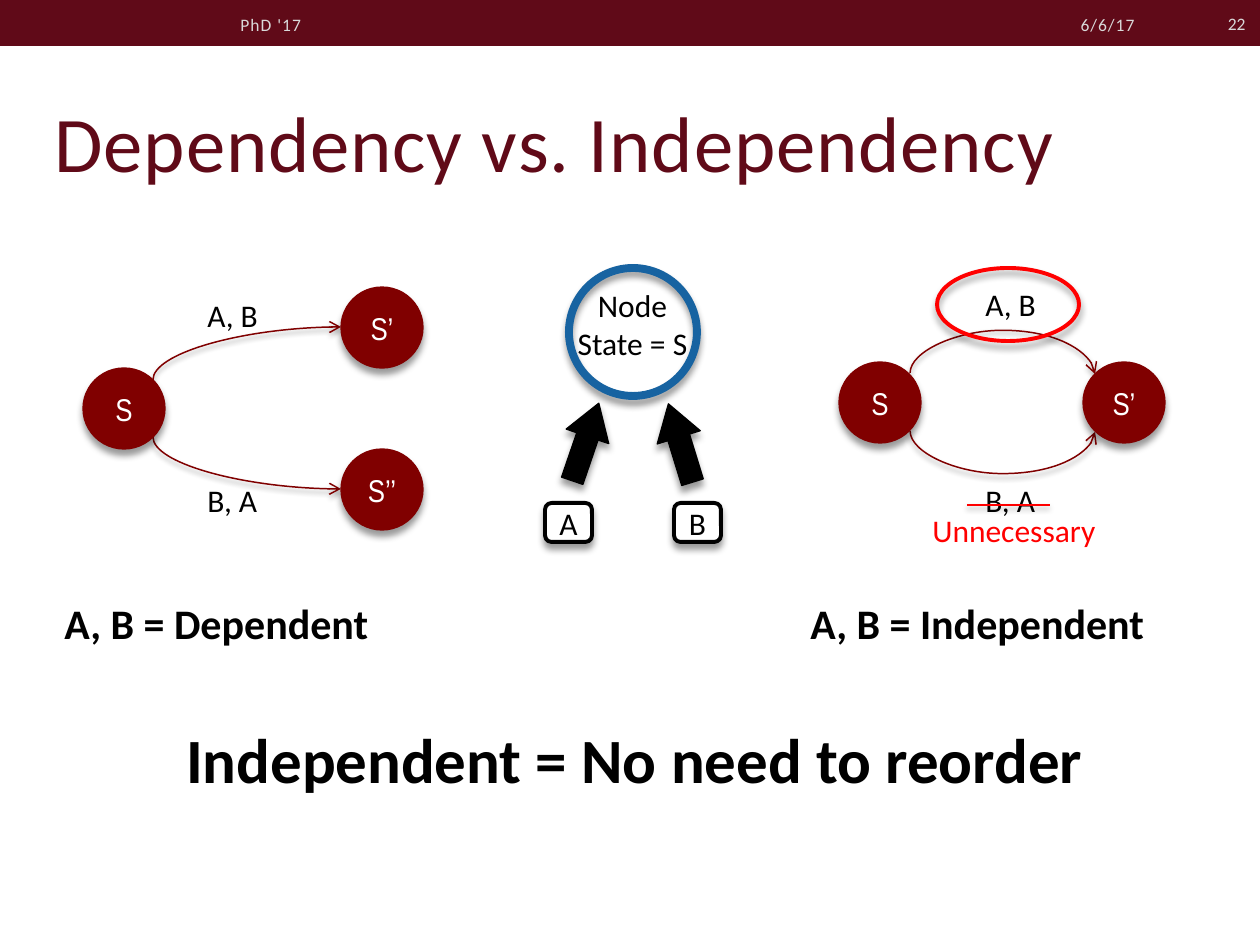
from lxml.etree import SubElement
from pptx import Presentation
from pptx.dml.color import RGBColor
from pptx.enum.shapes import MSO_CONNECTOR as Link, MSO_SHAPE as Shape
from pptx.enum.text import MSO_ANCHOR as Anchor, MSO_AUTO_SIZE as AutoSize, PP_ALIGN as Align
from pptx.oxml.ns import qn
from pptx.util import Pt

COLORS = {
    "bar": "600A18", "light": "D9D9D9", "ink": "000000", "paper": "FFFFFF",
    "state": "800000", "node": "1763A1", "accent": "FF0000",
}
SCALE = 914400 / 126


def px(length):
    return round(length * SCALE)


def rgb(name):
    return RGBColor.from_string(COLORS[name])


class SlideBuilder:
    body_font = "Calibri"
    state_font = "Arial Narrow"

    def __init__(self, deck):
        self.slide = deck.slides.add_slide(deck.slide_layouts[5])
        self.shapes = self.slide.shapes

    def set_text(self, frame, text, size=18, color="ink", align=Align.LEFT,
                 anchor=Anchor.TOP, bold=False, face=None, spacing=0):
        frame.text = text
        frame.vertical_anchor = anchor
        font_format = {"name": face or self.body_font, "size": Pt(size), "bold": bold}
        for paragraph in frame.paragraphs:
            paragraph.alignment = align
            for run in paragraph.runs:
                for attribute, value in font_format.items():
                    setattr(run.font, attribute, value)
                run.font.color.rgb = rgb(color)
                if spacing:
                    run._r.get_or_add_rPr().set("spc", str(spacing))

    def title(self, box, text, **style):
        heading = self.shapes.title
        heading.left, heading.top, heading.width, heading.height = map(px, box)
        heading.text_frame.auto_size = AutoSize.NONE
        self.set_text(heading.text_frame, text, anchor=Anchor.BOTTOM, **style)

    def label(self, box, text, wrap=False, **style):
        frame = self.shapes.add_textbox(*map(px, box)).text_frame
        frame.word_wrap = wrap
        frame.auto_size = AutoSize.NONE if wrap else AutoSize.SHAPE_TO_FIT_TEXT
        self.set_text(frame, text, **style)

    def shadow(self, properties, blur, distance):
        effects = properties.find(qn("a:effectLst"))
        if effects is None:
            effects = SubElement(properties, qn("a:effectLst"))
        outer = SubElement(effects, qn("a:outerShdw"), blurRad=str(Pt(blur)),
                           dist=str(Pt(distance)), dir="5400000", rotWithShape="0")
        tone = SubElement(outer, qn("a:srgbClr"), val=COLORS["ink"])
        SubElement(tone, qn("a:alpha"), val="40000")

    def block(self, kind, box, fill=None, line=None, weight=0.75, shadow=True,
              text=None, rotation=0, adjustments=(), **style):
        block = self.shapes.add_shape(kind, *map(px, box))
        block.shadow.inherit = False
        block.rotation = rotation
        for index, value in enumerate(adjustments):
            block.adjustments[index] = value
        if fill:
            block.fill.solid()
            block.fill.fore_color.rgb = rgb(fill)
        else:
            block.fill.background()
        if line:
            block.line.color.rgb = rgb(line)
            block.line.width = Pt(weight)
        else:
            block.line.fill.background()
        if shadow:
            self.shadow(block._element.spPr, 4, 3.4)
        if text:
            self.set_text(block.text_frame, text, align=Align.CENTER,
                          anchor=Anchor.MIDDLE, **style)

    def state(self, left, top, text):
        self.block(Shape.OVAL, (left, top, 82, 81), "state", "state",
                   text=text, color="paper", face=self.state_font)

    def connector(self, kind, start, end, color):
        link = self.shapes.add_connector(kind, *map(px, start + end))
        link.line.color.rgb = rgb(color)
        link.line.width = Pt(0.85)
        self.shadow(link._element.spPr, 3, 2)
        return link

    def curve(self, start, end, rotation, preset, bend=None):
        middle_x, middle_y = (start[0] + end[0]) / 2, (start[1] + end[1]) / 2
        turn = 1 if rotation == 90 else -1
        unturned = [(middle_x + turn * (y - middle_y), middle_y - turn * (x - middle_x))
                    for x, y in (start, end)]
        link = self.connector(Link.CURVE, *unturned, "state")
        properties = link._element.spPr
        properties.find(qn("a:xfrm")).set("rot", str(rotation * 60000))
        geometry = properties.find(qn("a:prstGeom"))
        geometry.set("prst", preset)
        if bend:
            SubElement(geometry.find(qn("a:avLst")), qn("a:gd"),
                       name="adj1", fmla=f"val {bend * 100000}")
        SubElement(properties.find(qn("a:ln")), qn("a:tailEnd"), type="arrow")


def main():
    deck = Presentation()
    deck.slide_width, deck.slide_height = px(1260), px(945)
    page = SlideBuilder(deck)

    page.block(Shape.RECTANGLE, (0, 0, 1260, 46), "bar", shadow=False)
    page.title((42, 38, 1174, 157), "Dependency vs. Independency",
               size=45, color="bar", spacing=50)
    header = {"wrap": True, "size": 10, "color": "light", "anchor": Anchor.MIDDLE}
    page.label((1147, -1, 111, 50), "22", align=Align.RIGHT, **header)
    page.label((921, 6, 226, 37), "6/6/17", align=Align.RIGHT, spacing=60, **header)
    page.label((228, 6, 449, 37), "PhD '17", spacing=60, **header)

    page.block(Shape.OVAL, (569, 268, 128, 128), line="node", weight=4.5)
    for left, top, rotation in ((563, 401, 18.9), (658, 402, 342.9)):
        page.block(Shape.UP_ARROW, (left, top, 45, 82), "ink", "ink",
                   rotation=rotation, adjustments=(0.5, 0.78))
    for left, message in ((545, "A"), (674, "B")):
        page.block(Shape.ROUNDED_RECTANGLE, (left, 503, 47, 39), "paper", "ink",
                   weight=2.25, text=message)
    page.label((564, 280, 137, 89), "Node\nState = S", align=Align.CENTER)

    page.curve((153, 380), (341, 327), 90, "curvedConnector2")
    page.curve((153, 437), (341, 489), 270, "curvedConnector2")
    for top, bend in ((373, -43), (431, 43)):
        page.curve((910, top), (1095, top + 1), 270, "curvedConnector3", bend)

    for left, top, name in ((83, 368, "S"), (341, 287, "S’"), (341, 449, "S’’"),
                            (839, 362, "S"), (1083, 362, "S’")):
        page.state(left, top, name)
    for left, top, order in ((195, 290, "A, B"), (195, 475, "B, A"),
                             (973, 279, "A, B"), (973, 475, "B, A")):
        page.label((left, top, 77, 50), order)

    page.block(Shape.OVAL, (937, 268, 142, 73), line="accent", weight=2.25)
    page.connector(Link.STRAIGHT, (967, 505), (1050, 505), "accent")
    page.label((920, 505, 190, 50), "Unnecessary", color="accent")

    page.label((52, 591, 411, 63), "A, B = Dependent", size=24, bold=True)
    page.label((798, 591, 446, 63), "A, B = Independent", size=24, bold=True)
    page.label((62, 714, 1145, 89), "Independent = No need to reorder",
               size=36, bold=True, align=Align.CENTER)

    deck.save("out.pptx")


if __name__ == "__main__":
    main()
